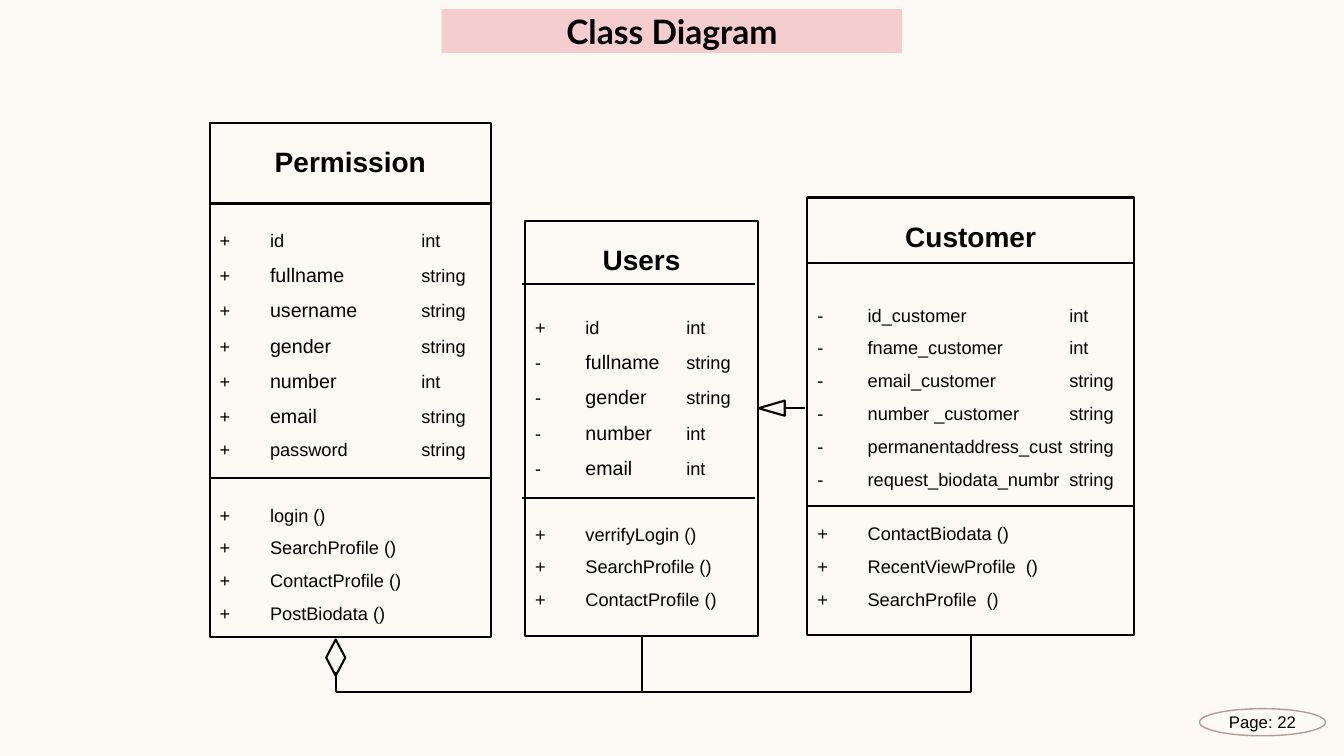
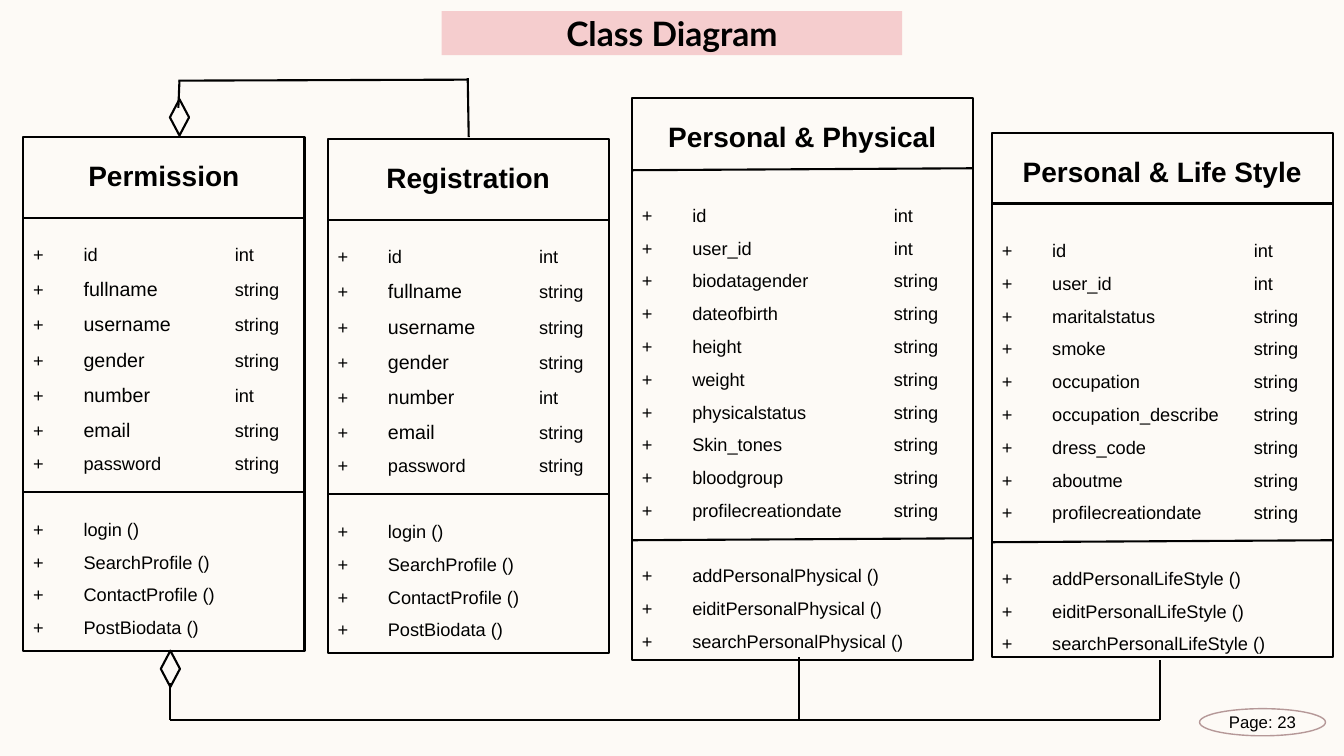
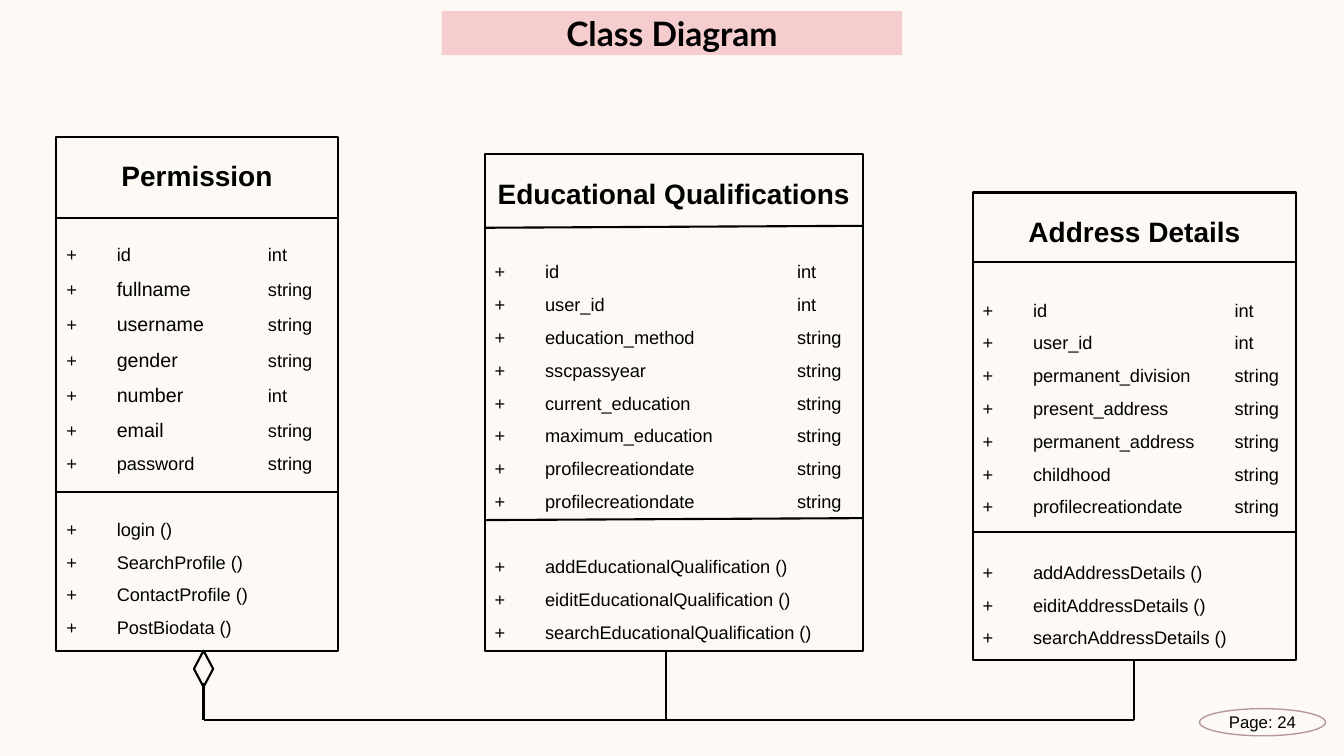
from lxml import etree
from pptx import Presentation, util as u
from pptx.dml.color import RGBColor
from pptx.enum import shapes, text
from pptx.oxml.ns import qn

Pt = u.Pt
SHAPE = shapes.MSO_SHAPE
INK, PAPER, PINK, MAUVE = "000000", "FDFAF6", "F5CDCE", "B59898"
BODY_FONT, TITLE_FONT = "Arial", "Lato"
LARGE_NAMES = {"fullname", "username", "gender", "number", "email"}
DIAMOND_W, DIAMOND_H = 13.7, 25.9


def rgb(code):
    return RGBColor.from_string(code)


def rows(mark, *entries):
    """Turn 'name:type' entries into tab-separated rows."""
    return [mark + "\t" + entry.replace(":", "\t") for entry in entries]


class Deck:
    def __init__(self):
        self.prs = Presentation()
        self.prs.slide_width, self.prs.slide_height = Pt(960), Pt(540)
        fill = self.prs.slide_master.background.fill
        fill.solid()
        fill.fore_color.rgb = rgb(PAPER)

    # Slide frame: title band and page badge
    def slide(self, title, page, title_y=7.9):
        self.s = self.prs.slides.add_slide(self.prs.slide_layouts[5])
        sp = self.s.shapes.title
        sp.left, sp.top, sp.width, sp.height = Pt(315.5), Pt(title_y), Pt(329), Pt(31.5)
        sp.fill.solid()
        sp.fill.fore_color.rgb = rgb(PINK)
        self.label(sp, title, 24, TITLE_FONT, True)
        badge = self.shape(SHAPE.OVAL, 856.8, 506.2, 90, 19.4, MAUVE, 1)
        self.label(badge, f"Page: {page}", 12)

    def label(self, sp, words, size, font=BODY_FONT, bold=False):
        tf = sp.text_frame
        tf.margin_left = tf.margin_right = tf.margin_top = tf.margin_bottom = 0
        tf.vertical_anchor = text.MSO_ANCHOR.MIDDLE
        tf.text = words
        p = tf.paragraphs[0]
        p.alignment = text.PP_ALIGN.CENTER
        self.style(p.runs[0], size, font, bold)

    def style(self, r, size, font=BODY_FONT, bold=False):
        r.font.size, r.font.name, r.font.bold = Pt(size), font, bold
        r.font.color.rgb = rgb(INK)

    # Basic elements
    def shape(self, kind, x, y, w, h, color=INK, weight=1.5):
        sp = self.s.shapes.add_shape(kind, Pt(x), Pt(y), Pt(w), Pt(h))
        sp.shadow.inherit = False
        sp.fill.background()
        sp.line.color.rgb = rgb(color)
        sp.line.width = Pt(weight)
        return sp

    def line(self, x1, y1, x2, y2):
        cn = self.s.shapes.add_connector(
            shapes.MSO_CONNECTOR.STRAIGHT, Pt(x1), Pt(y1), Pt(x2), Pt(y2))
        cn.line.color.rgb = rgb(INK)
        cn.line.width = Pt(1.5)
        etree.SubElement(cn._element.spPr, qn("a:effectLst"))

    def diamond(self, x, y):
        self.shape(SHAPE.FLOWCHART_DECISION, x - DIAMOND_W / 2, y, DIAMOND_W, DIAMOND_H)

    # Class box: heading, attributes and operations split by two dividers
    def class_box(self, x, y, w, h, name, attributes, operations, dividers,
                  type_tab=180, top_gap=28.7, mid_gap=23.35, shift=0):
        tf = self.shape(SHAPE.RECTANGLE, x, y, w, h).text_frame
        tf.word_wrap = True
        tf.vertical_anchor = text.MSO_ANCHOR.TOP
        tf.text = name
        p = tf.paragraphs[0]
        p.alignment, p.line_spacing = text.PP_ALIGN.CENTER, 1.5
        self.style(p.runs[0], 20, bold=True)
        for gap, block in ((top_gap, attributes), (mid_gap, operations)):
            for i, row in enumerate(block):
                self.row(tf.add_paragraph(), row, 0 if i else gap, type_tab)
        for left, right in dividers:
            self.line(x + shift, y + left, x + w + shift, y + right)

    def row(self, p, row, gap, type_tab):
        p.alignment, p.line_spacing, p.space_before = text.PP_ALIGN.LEFT, 1.5, Pt(gap)
        tabs = etree.SubElement(p._p.get_or_add_pPr(), qn("a:tabLst"))
        for pos in (36, type_tab):
            etree.SubElement(tabs, qn("a:tab"), pos=str(Pt(pos)), algn="l")
        for i, cell in enumerate(row.split("\t")):
            r = p.add_run()
            r.text = "\t" + cell if i else cell
            self.style(r, 14 if cell in LARGE_NAMES else 13)

    def account_box(self, x, y, name="Permission"):
        self.class_box(
            x, y, 200.9, 367.2, name,
            rows("+", "id:int", "fullname:string", "username:string", "gender:string",
                 "number:int", "email:string", "password:string"),
            rows("+", "login ()", "SearchProfile ()", "ContactProfile ()", "PostBiodata ()"),
            ((57.6, 57.6), (253.4, 253.4)), type_tab=144)

    # Aggregation: diamond under the whole, trunk, and a branch to each part
    def aggregation(self, x, y, trunk_y, *branches):
        self.diamond(x, y)
        self.line(x, y + DIAMOND_H - 2.5, x, trunk_y)
        self.line(x, trunk_y, branches[-1][0], trunk_y)
        for part_x, part_y in branches:
            self.line(part_x, part_y, part_x, trunk_y)


def main():
    d = Deck()

    # Users and customers
    d.slide("Class Diagram", 22, title_y=6.5)
    d.class_box(
        576.7, 141.1, 233.3, 312.5, "Customer",
        rows("-", "id_customer:int", "fname_customer:int", "email_customer:string",
             "number _customer:string", "permanentaddress_cust:string",
             "request_biodata_numbr:string"),
        rows("+", "ContactBiodata ()", "RecentViewProfile  ()", "SearchProfile  ()"),
        ((46.8, 46.8), (220.3, 220.3)), mid_gap=15.6)
    d.class_box(
        375.1, 157.7, 166.3, 296.6, "Users",
        rows("+", "id:int")
        + rows("-", "fullname:string", "gender:string", "number:int", "email:int"),
        rows("+", "verrifyLogin ()", "SearchProfile ()", "ContactProfile ()"),
        ((45.4, 45.4), (198, 198)), type_tab=108, top_gap=20.9, shift=-2.2)
    d.account_box(149.8, 87.8)
    d.line(575.3, 291.6, 560.9, 291.6)
    d.shape(SHAPE.FLOWCHART_EXTRACT, 545.8, 282.2, 10.8, 18.7).rotation = 270
    d.aggregation(239.8, 456.8, 494.6, (458.6, 454.3), (693.4, 453.6))

    # Registration and personal details
    d.slide("Class Diagram", 23)
    d.class_box(
        451.4, 69.8, 243.4, 401.8, "Personal & Physical",
        rows("+", "id:int", "user_id:int", "biodatagender:string", "dateofbirth:string",
             "height:string", "weight:string", "physicalstatus:string",
             "Skin_tones:string", "bloodgroup:string", "profilecreationdate:string"),
        rows("+", "addPersonalPhysical ()", "eiditPersonalPhysical ()",
             "searchPersonalPhysical ()"),
        ((51.8, 50.4), (316.1, 314.7)))
    d.class_box(
        708.5, 95, 243.4, 374.4, "Personal & Life Style",
        rows("+", "id:int", "user_id:int", "maritalstatus:string", "smoke:string",
             "occupation:string", "occupation_describe:string", "dress_code:string",
             "aboutme:string", "profilecreationdate:string"),
        rows("+", "addPersonalLifeStyle ()", "eiditPersonalLifeStyle ()",
             "searchPersonalLifeStyle ()"),
        ((50.4, 50.4), (292.3, 290.9)))
    d.account_box(234, 99.4, "Registration")
    d.account_box(16.6, 97.9)
    d.diamond(128.2, 70.9)
    d.line(128.2, 57.6, 127.4, 77)
    d.line(334.8, 56.9, 127.4, 57.6)
    d.line(334.1, 55.8, 334.8, 97.9)
    d.aggregation(121.7, 464.8, 514.1, (571, 469.4), (828.7, 471.6))

    # Education and address
    d.slide("Class Diagram", 24)
    d.class_box(
        346.3, 110.2, 270, 355, "Educational Qualifications",
        rows("+", "id:int", "user_id:int", "education_method:string", "sscpassyear:string",
             "current_education:string", "maximum_education:string",
             "profilecreationdate:string", "profilecreationdate:string"),
        rows("+", "addEducationalQualification ()", "eiditEducationalQualification ()",
             "searchEducationalQualification ()"),
        ((52.5, 51.1), (261.3, 259.9)), type_tab=216)
    d.class_box(
        694.8, 137.5, 231.1, 334.1, "Address Details",
        rows("+", "id:int", "user_id:int", "permanent_division:string",
             "present_address:string", "permanent_address:string", "childhood:string",
             "profilecreationdate:string"),
        rows("+", "addAddressDetails ()", "eiditAddressDetails ()",
             "searchAddressDetails ()"),
        ((49.7, 49.7), (242.6, 242.6)))
    d.account_box(40.3, 97.9)
    d.aggregation(145.4, 464.8, 514.1, (475.9, 465.1), (810, 471.6))

    d.prs.save("out.pptx")


if __name__ == "__main__":
    main()
